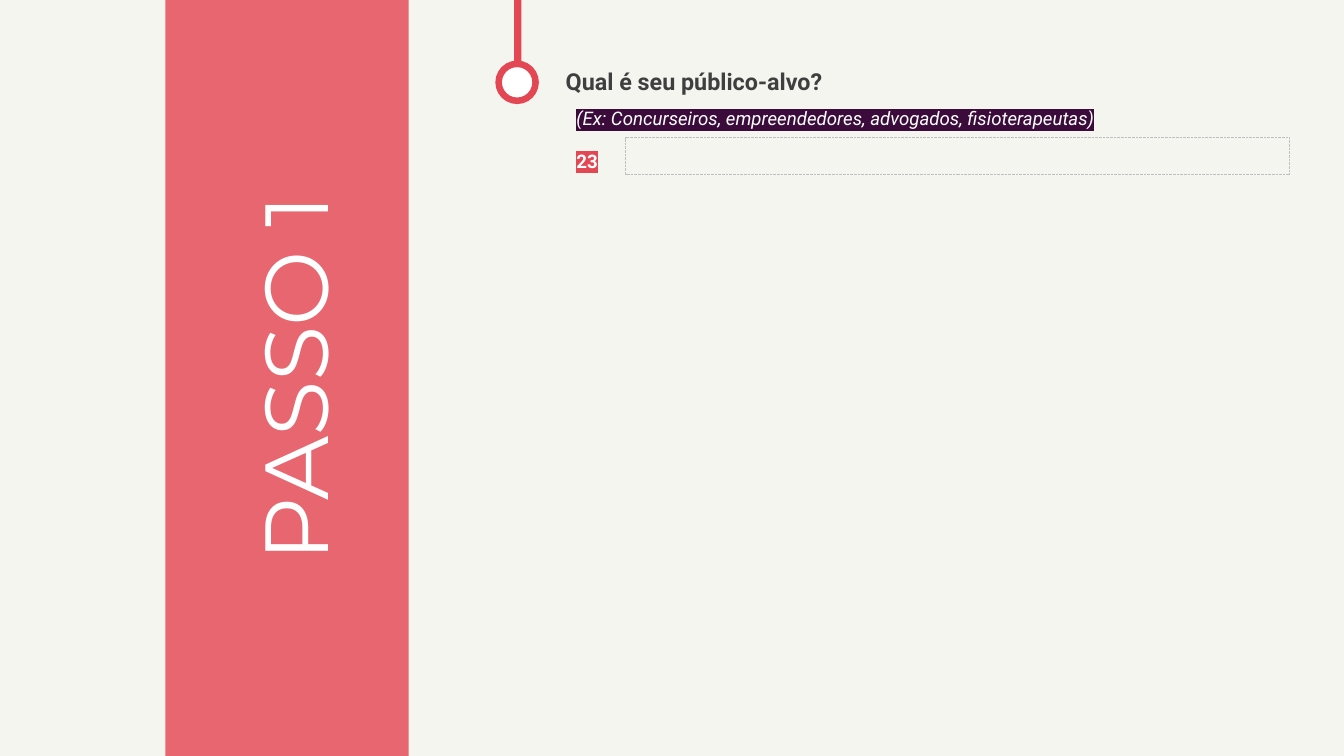
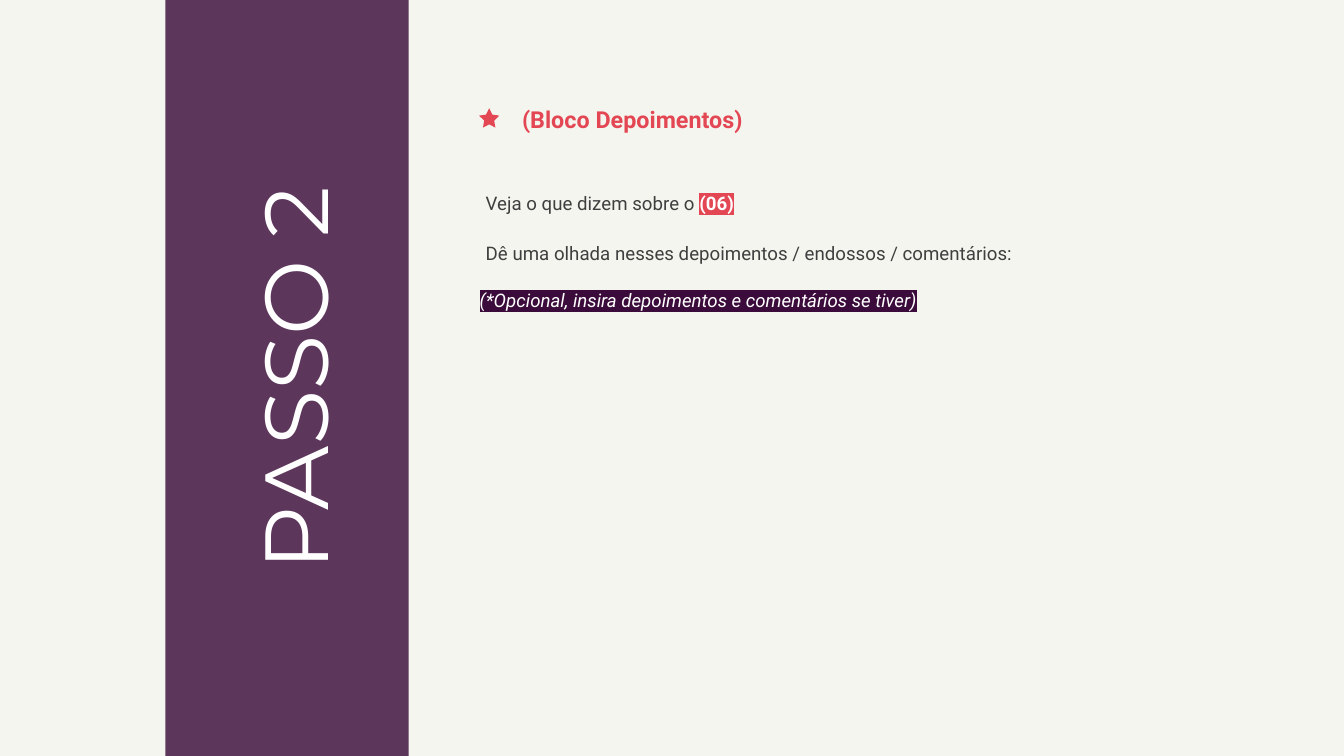
from lxml import etree
from pptx import Presentation
from pptx.dml.color import RGBColor
from pptx.enum import dml, shapes, text
from pptx.oxml import ns
from pptx.util import Inches, Pt

CREAM = RGBColor(0xF5, 0xF5, 0xEF)
RED = RGBColor(0xE4, 0x47, 0x54)
PURPLE = RGBColor(0x3B, 0x0C, 0x3B)
WHITE = RGBColor(0xFF, 0xFF, 0xFF)
DARK = RGBColor(0x3F, 0x3F, 0x3F)
GREY = RGBColor(0xBF, 0xBF, 0xBF)

SHAPE = shapes.MSO_SHAPE


class Deck:
    title_font = "Montserrat"
    body_font = "Roboto"

    def __init__(self):
        self.prs = Presentation()
        self.prs.slide_width = Inches(20)
        self.prs.slide_height = Inches(11.25)
        fill = self.prs.slide_master.background.fill
        fill.solid()
        fill.fore_color.rgb = CREAM
        self.s = None

    def step(self, title, color):
        self.s = self.prs.slides.add_slide(self.prs.slide_layouts[5])
        band = self.shape(SHAPE.RECTANGLE, 2.46, 0, 3.62, 11.25, color)
        clr = band.fill._xPr.find(".//" + ns.qn("a:srgbClr"))
        etree.SubElement(clr, ns.qn("a:alpha"), val="82000")
        sp = self.s.shapes.title
        sp.element.addprevious(band.element)
        sp.left, sp.top = Inches(0.78), Inches(4.77)
        sp.width, sp.height = Inches(7.18), Inches(1.72)
        sp.rotation = 270
        tf = self.frame(sp)
        tf.text = title
        p = tf.paragraphs[0]
        p.alignment = text.PP_ALIGN.CENTER
        self.format(p.runs[0], self.title_font, 96, WHITE)

    def shape(self, kind, x, y, w, h, fill=None, line=None, width=0.75):
        sp = self.s.shapes.add_shape(kind, Inches(x), Inches(y), Inches(w), Inches(h))
        sp.shadow.inherit = False
        if fill is None:
            sp.fill.background()
        else:
            sp.fill.solid()
            sp.fill.fore_color.rgb = fill
        if line is None:
            sp.line.fill.background()
        else:
            sp.line.color.rgb = line
            sp.line.width = Pt(width)
        return sp

    def frame(self, sp):
        tf = sp.text_frame
        tf.word_wrap = True
        tf.auto_size = text.MSO_AUTO_SIZE.SHAPE_TO_FIT_TEXT
        tf.vertical_anchor = text.MSO_ANCHOR.TOP
        return tf

    def format(self, r, font, size, color, bold=False, italic=False, mark=None):
        r.font.name = font
        r.font.size = Pt(size)
        r.font.color.rgb = color
        r.font.bold = bold
        r.font.italic = italic
        if mark is not None:
            highlight = etree.Element(ns.qn("a:highlight"))
            etree.SubElement(highlight, ns.qn("a:srgbClr"), val=str(mark))
            r.font._element.find(ns.qn("a:solidFill")).addnext(highlight)

    def paragraph(self, x, y, w, h):
        sp = self.s.shapes.add_textbox(Inches(x), Inches(y), Inches(w), Inches(h))
        return self.frame(sp).paragraphs[0]

    def heading(self, words, x, y, color):
        p = self.paragraph(x, y, 10.55, 0.52)
        p.text = words
        self.format(p.runs[0], self.body_font, 25, color, bold=True)

    def body(self, x, y, w, plain="", field="", hint=""):
        p = self.paragraph(x, y, w, 0.55)
        p.line_spacing = 1.5
        styles = (
            (plain, dict(color=DARK)),
            (field, dict(color=WHITE, bold=True, mark=RED)),
            (hint, dict(color=WHITE, italic=True, mark=PURPLE)),
        )
        for words, style in styles:
            if words:
                r = p.add_run()
                r.text = words
                self.format(r, self.body_font, 20, **style)


def main():
    deck = Deck()

    deck.step("PASSO 1", RED)
    deck.shape(SHAPE.RECTANGLE, 7.65, -0.02, 0.11, 1.49, RED)
    deck.shape(SHAPE.OVAL, 7.42, 0.95, 0.55, 0.55, WHITE, RED, 7)
    deck.heading("Qual é seu público-alvo?", 8.32, 0.95, DARK)
    deck.body(8.48, 1.38, 10.8,
              hint="(Ex: Concurseiros, empreendedores, advogados, fisioterapeutas)")
    deck.body(8.48, 2.01, 0.83, field="23")
    answer = deck.shape(SHAPE.RECTANGLE, 9.31, 2.05, 9.88, 0.55, line=GREY)
    answer.line.dash_style = dml.MSO_LINE.ROUND_DOT

    deck.step("PASSO 2", PURPLE)
    star = deck.shape(SHAPE.STAR_5_POINT, 7.13, 1.61, 0.3, 0.29, RED)
    star.adjustments[0] = 0.25
    deck.heading("(Bloco Depoimentos)", 7.67, 1.51, RED)
    deck.body(7.13, 2.64, 10.71, plain="Veja o que dizem sobre o ", field="(06)")
    deck.body(7.13, 3.39, 10.71,
              plain="Dê uma olhada nesses depoimentos / endossos / comentários:")
    deck.body(7.04, 4.08, 10.8,
              hint="(*Opcional, insira depoimentos e comentários se tiver)")

    deck.prs.save("out.pptx")


if __name__ == "__main__":
    main()
